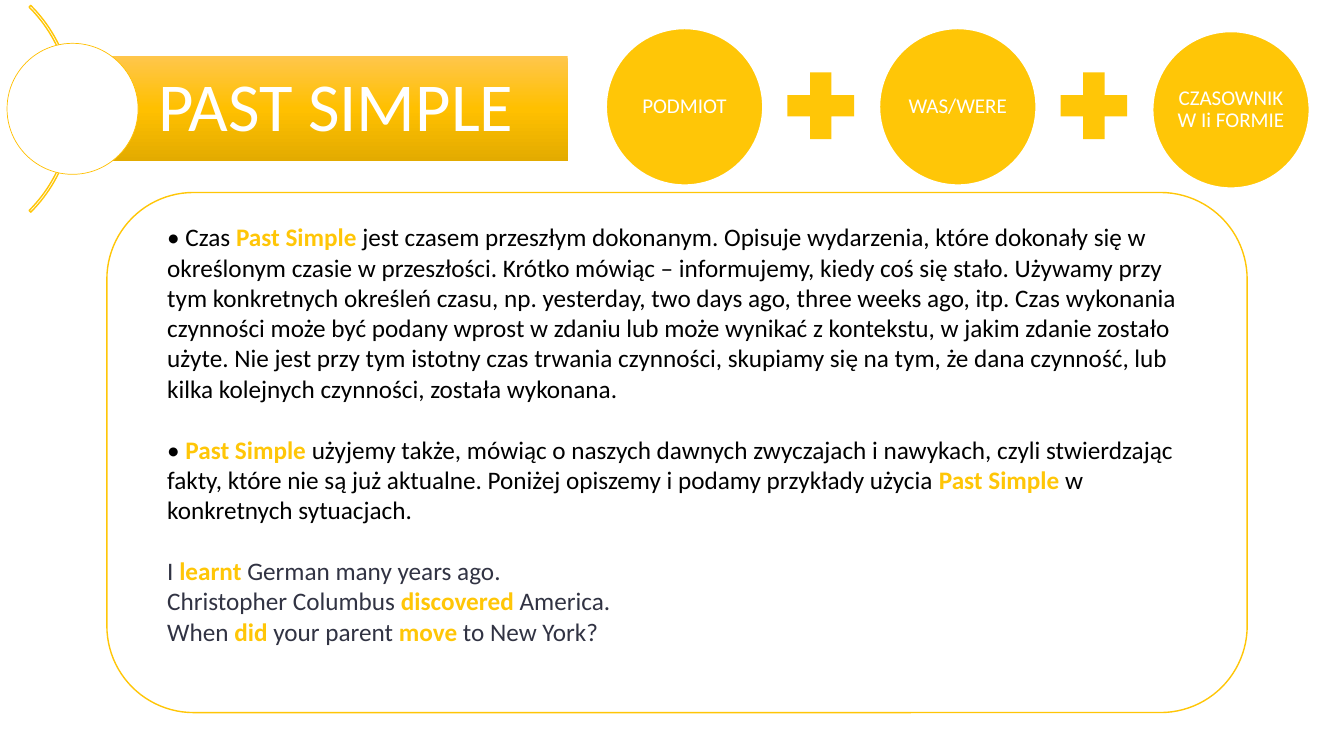
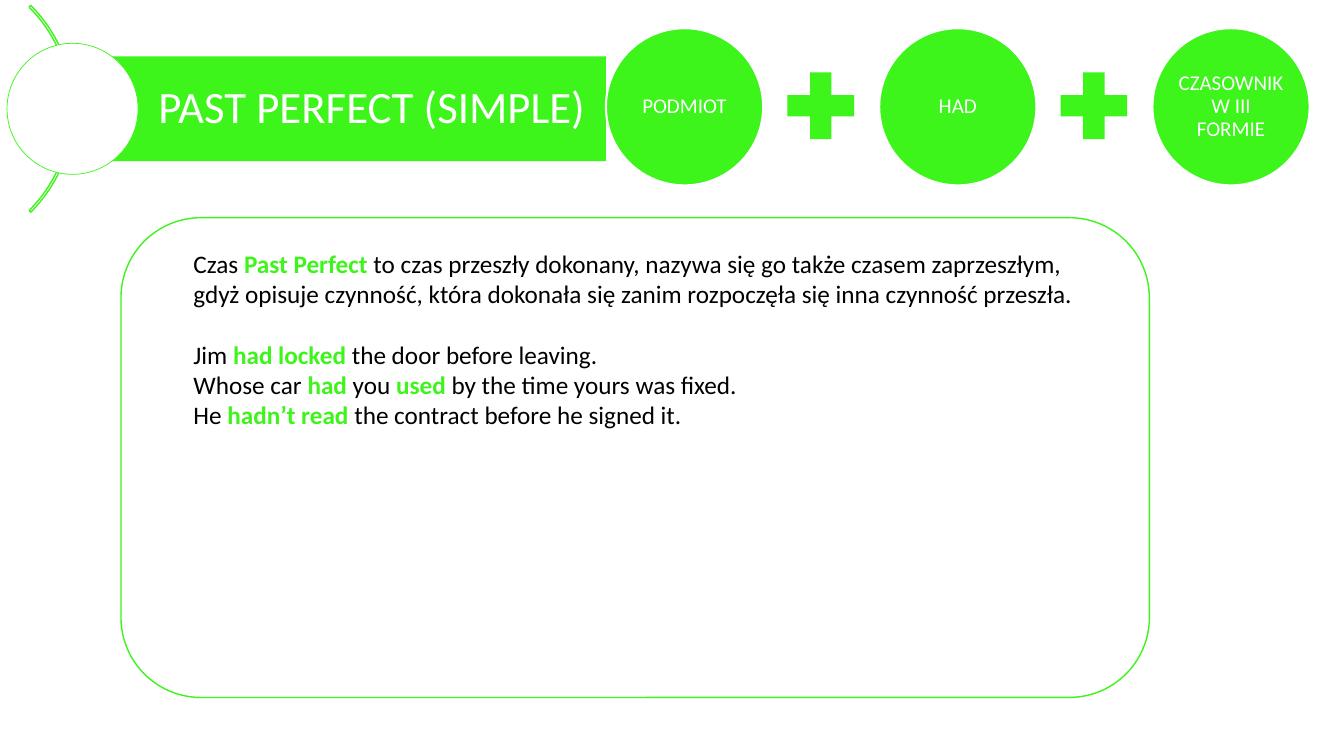
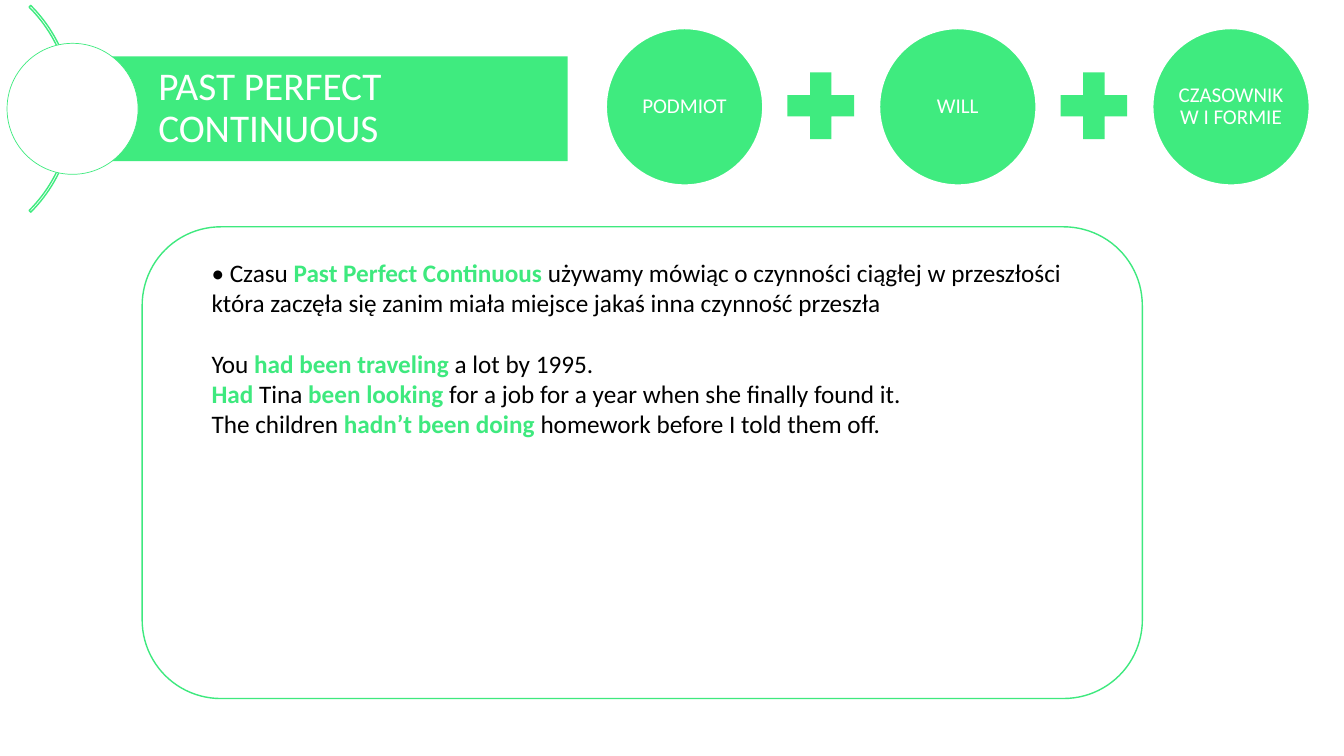
from copy import deepcopy

from pptx import Presentation
from pptx.dml.color import RGBColor
from pptx.enum.shapes import MSO_SHAPE as Preset
from pptx.enum.text import MSO_ANCHOR as Anchor, PP_ALIGN as Align
from pptx.util import Inches, Pt

FONT = "Calibri"
WHITE = RGBColor(0xFF, 0xFF, 0xFF)
BLACK = RGBColor(0x00, 0x00, 0x00)
SLATE = RGBColor(0x31, 0x33, 0x43)
YELLOW = RGBColor(0xFF, 0xC6, 0x07)
AMBER = RGBColor(0xFF, 0xC0, 0x00)
LIGHT_AMBER = RGBColor(0xFF, 0xC6, 0x4B)
DARK_AMBER = RGBColor(0xE3, 0xAB, 0x00)
GREEN = RGBColor(0x3D, 0xF4, 0x1B)
MINT = RGBColor(0x3F, 0xEB, 0x7F)
CARD_MINT = RGBColor(0x3E, 0xE9, 0x7E)

# Words between asterisks are bold and in the accent colour.
# "blocks" holds (text colour, lines) pairs, set apart by one line of space.
TENSES = [
    {
        "title": "PAST SIMPLE", "title_size": 49, "band_width": 4.91,
        "band": (LIGHT_AMBER, AMBER, DARK_AMBER), "ring": AMBER,
        "main": YELLOW, "accent": YELLOW,
        "formula": [("PODMIOT", 0.28), ("WAS/WERE", 0.28),
                    ("CZASOWNIK W Ii FORMIE", 0.31)],
        "card": (1.06, 1.91, 11.31, 5.16), "text": (1.56, 2.15, 10.22, 4.64),
        "blocks": [
            (BLACK, [
                "• Czas *Past Simple *jest czasem przeszłym dokonanym. Opisuje "
                "wydarzenia, które dokonały się w określonym czasie w przeszłości. "
                "Krótko mówiąc – informujemy, kiedy coś się stało. Używamy przy tym "
                "konkretnych określeń czasu, np. yesterday, two days ago, three weeks "
                "ago, itp. Czas wykonania czynności może być podany wprost w zdaniu lub "
                "może wynikać z kontekstu, w jakim zdanie zostało użyte. Nie jest przy "
                "tym istotny czas trwania czynności, skupiamy się na tym, że dana "
                "czynność, lub kilka kolejnych czynności, została wykonana. "]),
            (BLACK, [
                "• *Past Simple *użyjemy także, mówiąc o naszych dawnych zwyczajach i "
                "nawykach, czyli stwierdzając fakty, które nie są już aktualne. Poniżej "
                "opiszemy i podamy przykłady użycia *Past Simple *w konkretnych "
                "sytuacjach. "]),
            (SLATE, [
                "I *learnt* German many years ago.",
                "Christopher Columbus *discovered *America.",
                "When *did* your parent *move* to New York?"]),
        ],
    },
    {
        "title": "PAST PERFECT (SIMPLE)", "title_size": 32, "band_width": 5.29,
        "band": (GREEN,), "ring": GREEN, "main": GREEN, "accent": GREEN,
        "formula": [("PODMIOT", 0.28), ("HAD", 0.28),
                    ("CZASOWNIK W III FORMIE", 0.28)],
        "card": (1.2, 2.16, 10.2, 4.76), "text": (1.82, 2.41, 8.92, 2.22),
        "blocks": [
            (BLACK, [
                "Czas *Past Perfect *to czas przeszły dokonany, nazywa się go także "
                "czasem zaprzeszłym, gdyż opisuje czynność, która dokonała się zanim "
                "rozpoczęła się inna czynność przeszła."]),
            (BLACK, [
                "Jim *had locked *the door before leaving.",
                "Whose car *had *you *used* by the time yours was fixed.",
                "He *hadn’t read *the contract before he signed it."]),
        ],
    },
    {
        "title": "PAST PERFECT CONTINUOUS", "title_size": 28, "band_width": 4.91,
        "band": (MINT,), "ring": MINT, "main": MINT, "accent": CARD_MINT,
        "formula": [("PODMIOT", 0.28), ("WILL", 0.28),
                    ("CZASOWNIK W I FORMIE", 0.28)],
        "card": (1.41, 2.25, 9.92, 4.68), "text": (2, 2.5, 8.78, 1.92),
        "blocks": [
            (BLACK, [
                "• Czasu *Past Perfect Continuous *używamy mówiąc o czynności ciągłej w "
                "przeszłości która zaczęła się zanim miała miejsce jakaś inna czynność "
                "przeszła"]),
            (BLACK, [
                "You *had been traveling* a lot by 1995.",
                "*Had *Tina *been looking* for a job for a year when she finally "
                "found it.",
                "The children *hadn’t been doing *homework before I told them off."]),
        ],
    },
]

CIRCLE_LEFT, CIRCLE_STEP, CIRCLE_SIZE = 6.01, 2.71, 1.56
PLUS_OFFSET, PLUS_TOP, PLUS_SIZE = 1.68, 0.6, 0.9
BODY_SIZE, BLOCK_GAP = 18, 22


def add_preset(slide, preset, box, fill=None, line=None, line_width=1):
    """Add a flat preset shape; box is left, top, width, height in inches."""
    shape = slide.shapes.add_shape(preset, *map(Inches, box))
    shape.shadow.inherit = False
    if fill is None:
        shape.fill.background()
    else:
        shape.fill.solid()
        shape.fill.fore_color.rgb = fill
    if line is None:
        shape.line.fill.background()
    else:
        shape.line.color.rgb = line
        shape.line.width = Pt(line_width)
    return shape


def add_run(paragraph, text, size, color, bold=False):
    """Append one run of formatted text."""
    run = paragraph.add_run()
    run.text = text
    run.font.name = FONT
    run.font.size = Pt(size)
    run.font.bold = bold
    run.font.color.rgb = color


def set_label(shape, text, size, align, margin, left_margin):
    """Write white, vertically centred text inside a shape."""
    frame = shape.text_frame
    frame.word_wrap = True
    frame.vertical_anchor = Anchor.MIDDLE
    frame.margin_top = frame.margin_bottom = frame.margin_right = Inches(margin)
    frame.margin_left = Inches(left_margin)
    paragraph = frame.paragraphs[0]
    paragraph.alignment = align
    paragraph.line_spacing = 0.9
    add_run(paragraph, text, size, WHITE)


def set_vertical_gradient(shape, colors):
    """Fill a shape from top to bottom with three evenly spaced colours."""
    shape.fill.gradient()
    shape.fill.gradient_angle = 270
    first_stop = shape.element.spPr.xpath(".//a:gs")[0]
    first_stop.addnext(deepcopy(first_stop))
    for index, (stop, color) in enumerate(zip(shape.fill.gradient_stops, colors)):
        stop.color.rgb = color
        stop.position = index / 2


def add_title(slide, tense):
    """Draw the arc, the title band and the ring at the top left."""
    arc = add_preset(slide, Preset.BLOCK_ARC, (-2.17, -0.37, 2.9, 2.9),
                     line=tense["main"])
    for index, value in enumerate((189, 27, 0.008)):
        arc.adjustments[index] = value
    band = add_preset(slide, Preset.RECTANGLE,
                      (0.72, 0.56, tense["band_width"], 1.04), tense["band"][0])
    if len(tense["band"]) > 1:
        set_vertical_gradient(band, tense["band"])
    size = tense["title_size"]
    set_label(band, tense["title"], size, Align.LEFT, round(size / 360, 2), 0.85)
    add_preset(slide, Preset.OVAL, (0.07, 0.43, 1.3, 1.3), WHITE, tense["ring"], 0.5)


def add_formula(slide, tense):
    """Draw the circles of the sentence pattern with plus signs between them."""
    for index, (label, top) in enumerate(tense["formula"]):
        left = CIRCLE_LEFT + index * CIRCLE_STEP
        circle = add_preset(slide, Preset.OVAL, (left, top, CIRCLE_SIZE, CIRCLE_SIZE),
                            tense["main"], WHITE, 1.5)
        set_label(circle, label, 15, Align.CENTER, 0.02, 0.02)
        if index < len(tense["formula"]) - 1:
            add_preset(slide, Preset.MATH_PLUS,
                       (left + PLUS_OFFSET, PLUS_TOP, PLUS_SIZE, PLUS_SIZE),
                       tense["main"])


def add_explanation(slide, tense):
    """Draw the rounded card and its explanation with examples."""
    add_preset(slide, Preset.ROUNDED_RECTANGLE, tense["card"], line=tense["accent"])
    frame = slide.shapes.add_textbox(*map(Inches, tense["text"])).text_frame
    frame.word_wrap = True
    paragraph = None
    for color, lines in tense["blocks"]:
        for index, line in enumerate(lines):
            is_first = paragraph is None
            paragraph = frame.paragraphs[0] if is_first else frame.add_paragraph()
            if index == 0 and not is_first:
                paragraph.space_before = Pt(BLOCK_GAP)
            for part, text in enumerate(line.split("*")):
                marked = part % 2 == 1
                if text:
                    add_run(paragraph, text, BODY_SIZE,
                            tense["accent"] if marked else color, marked)


def main():
    """Build one slide for each tense and save the presentation."""
    presentation = Presentation()
    presentation.slide_width = Inches(13.33)
    presentation.slide_height = Inches(7.5)
    for tense in TENSES:
        slide = presentation.slides.add_slide(presentation.slide_layouts[6])
        add_title(slide, tense)
        add_formula(slide, tense)
        add_explanation(slide, tense)
    presentation.save("out.pptx")


main()
